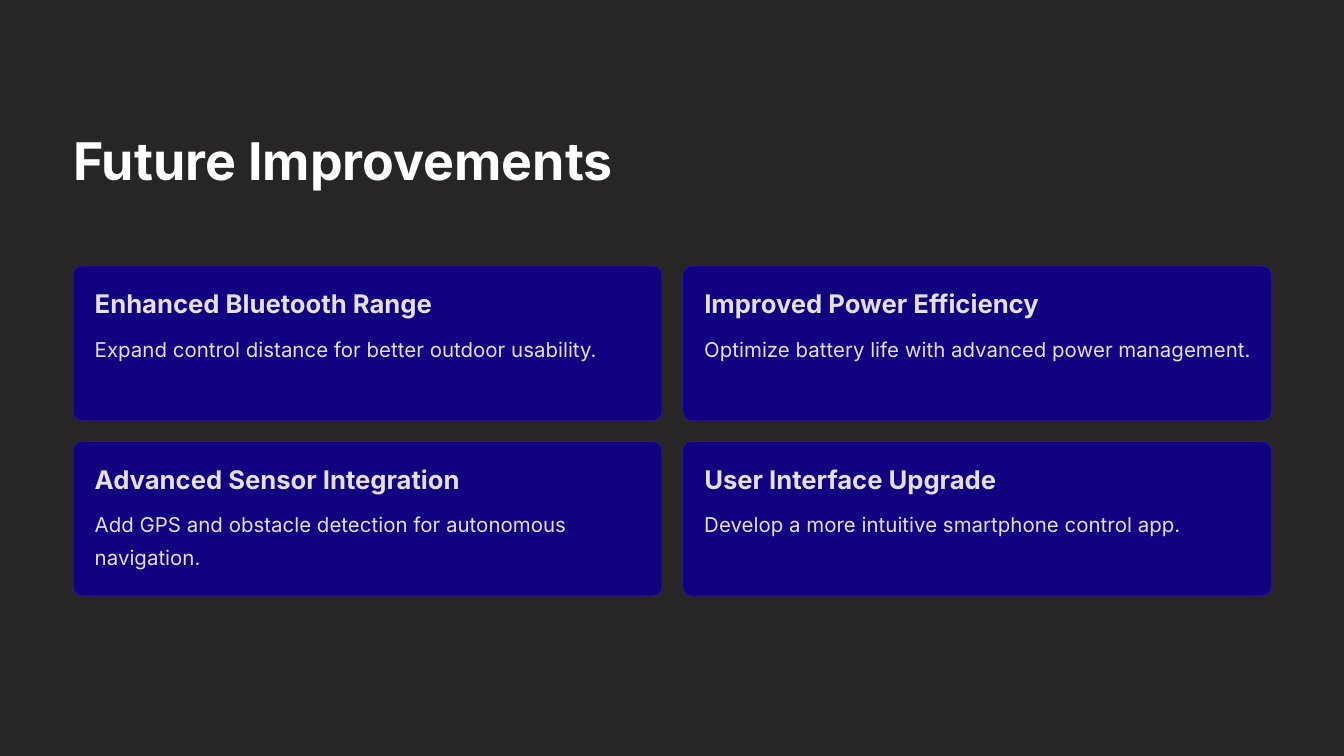
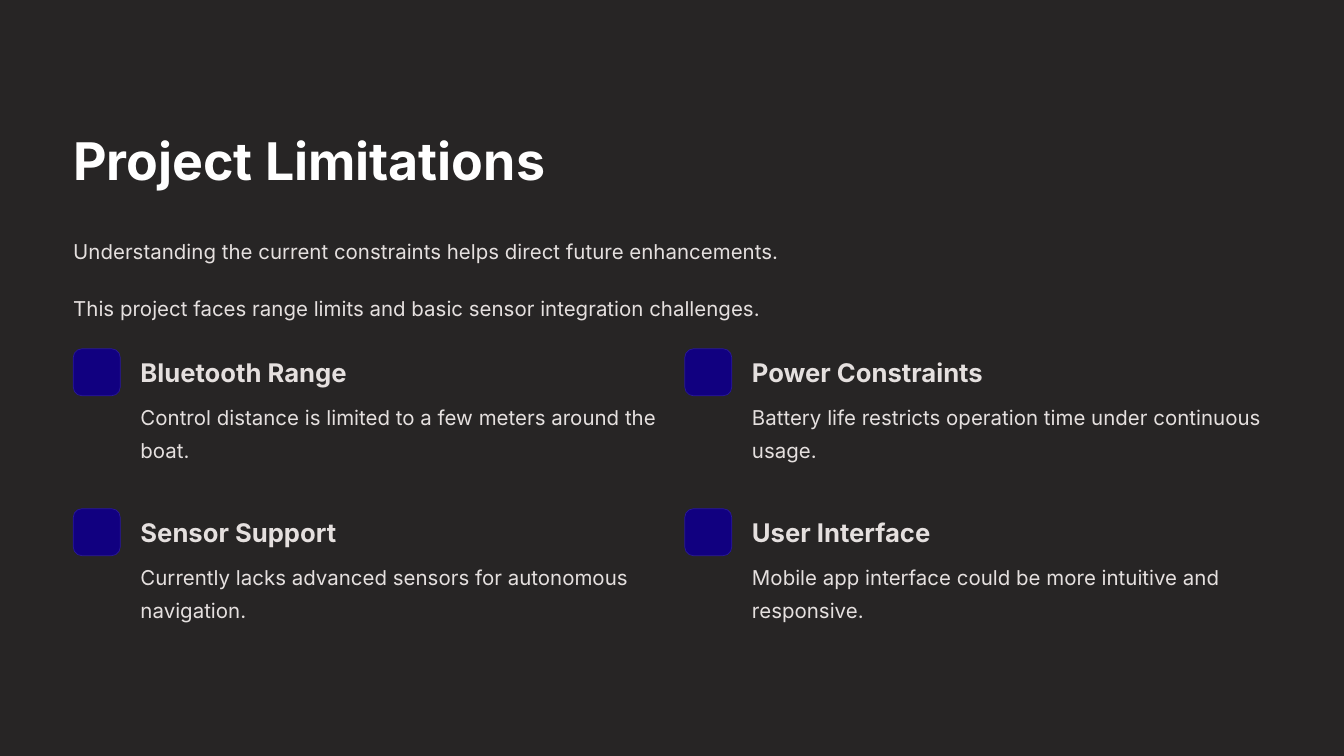
import pptx
import pptx.dml.color
import pptx.enum.shapes
import pptx.util

Inches = pptx.util.Inches
Pt = pptx.util.Pt

BACKGROUND = "272525"
PANEL_FILL = "110080"
PANEL_LINE = "2A1999"
LIGHT_TEXT = "E5E0DF"
FONT_NAME = "Inter"
LEFT_MARGIN = 1.09
CORNER_RADIUS = 0.13

STYLES = {
    "title": {"size": 55.6, "spacing": 69.4, "bold": True, "color": "FFFFFF"},
    "heading": {"size": 27.5, "spacing": 34.4, "bold": True, "color": LIGHT_TEXT},
    "body": {"size": 21.9, "spacing": 35.6, "bold": False, "color": LIGHT_TEXT},
}

IMPROVEMENTS = [
    ("Enhanced Bluetooth Range", "Expand control distance for better outdoor usability."),
    ("Improved Power Efficiency", "Optimize battery life with advanced power management."),
    ("Advanced Sensor Integration", "Add GPS and obstacle detection for autonomous navigation."),
    ("User Interface Upgrade", "Develop a more intuitive smartphone control app."),
]

INTRODUCTION = [
    "Understanding the current constraints helps direct future enhancements.",
    "This project faces range limits and basic sensor integration challenges.",
]

LIMITATIONS = [
    ("Bluetooth Range", "Control distance is limited to a few meters around the boat."),
    ("Power Constraints", "Battery life restricts operation time under continuous usage."),
    ("Sensor Support", "Currently lacks advanced sensors for autonomous navigation."),
    ("User Interface", "Mobile app interface could be more intuitive and responsive."),
]


def rgb(hex_color):
    return pptx.dml.color.RGBColor.from_string(hex_color)


def add_text(slide, text, style_name, left, top, width, height):
    style = STYLES[style_name]
    box = slide.shapes.add_textbox(Inches(left), Inches(top), Inches(width), Inches(height))
    frame = box.text_frame
    frame.word_wrap = True
    for side in ("left", "top", "right", "bottom"):
        setattr(frame, f"margin_{side}", 0)
    paragraph = frame.paragraphs[0]
    paragraph.line_spacing = Pt(style["spacing"])
    run = paragraph.add_run()
    run.text = text
    formats = {"name": FONT_NAME, "size": Pt(style["size"]), "bold": style["bold"]}
    for attribute, value in formats.items():
        setattr(run.font, attribute, value)
    run.font.color.rgb = rgb(style["color"])


def add_panel(slide, left, top, width, height):
    shape = slide.shapes.add_shape(
        pptx.enum.shapes.MSO_SHAPE.ROUNDED_RECTANGLE,
        Inches(left), Inches(top), Inches(width), Inches(height),
    )
    shape.adjustments[0] = CORNER_RADIUS / min(width, height)
    shape.shadow.inherit = False
    shape.fill.solid()
    shape.fill.fore_color.rgb = rgb(PANEL_FILL)
    shape.line.color.rgb = rgb(PANEL_LINE)
    shape.line.width = Pt(0.75)


def add_topic(slide, heading, body, left, top, heading_width, body_width):
    add_text(slide, heading, "heading", left, top, heading_width, 0.5)
    add_text(slide, body, "body", left, top + 0.61, body_width, 1.06)


def grid_positions(items, top, column_step, row_step):
    for index, item in enumerate(items):
        row, column = divmod(index, 2)
        yield item, LEFT_MARGIN + column * column_step, top + row * row_step


def add_titled_slide(presentation, title):
    slide = presentation.slides.add_slide(presentation.slide_layouts[6])
    slide.background.fill.solid()
    slide.background.fill.fore_color.rgb = rgb(BACKGROUND)
    add_text(slide, title, "title", LEFT_MARGIN, 1.88, 8.07, 0.99)
    return slide


def add_improvements_slide(presentation):
    slide = add_titled_slide(presentation, "Future Improvements")
    for (heading, body), left, top in grid_positions(IMPROVEMENTS, 3.96, 9.07, 2.61):
        add_panel(slide, left, top, 8.76, 2.3)
        add_topic(slide, heading, body, left + 0.32, top + 0.31, 5.51, 8.14)


def add_limitations_slide(presentation):
    slide = add_titled_slide(presentation, "Project Limitations")
    for index, sentence in enumerate(INTRODUCTION):
        add_text(slide, sentence, "body", LEFT_MARGIN, 3.43 + index * 0.84, 17.83, 0.57)
    for (heading, body), left, top in grid_positions(LIMITATIONS, 5.19, 9.1, 2.38):
        add_panel(slide, left, top, 0.7, 0.7)
        add_topic(slide, heading, body, left + 1, top + 0.1, 3.88, 7.71)


def main():
    presentation = pptx.Presentation()
    presentation.slide_width = Inches(20)
    presentation.slide_height = Inches(11.25)
    add_improvements_slide(presentation)
    add_limitations_slide(presentation)
    presentation.save("out.pptx")


if __name__ == "__main__":
    main()
